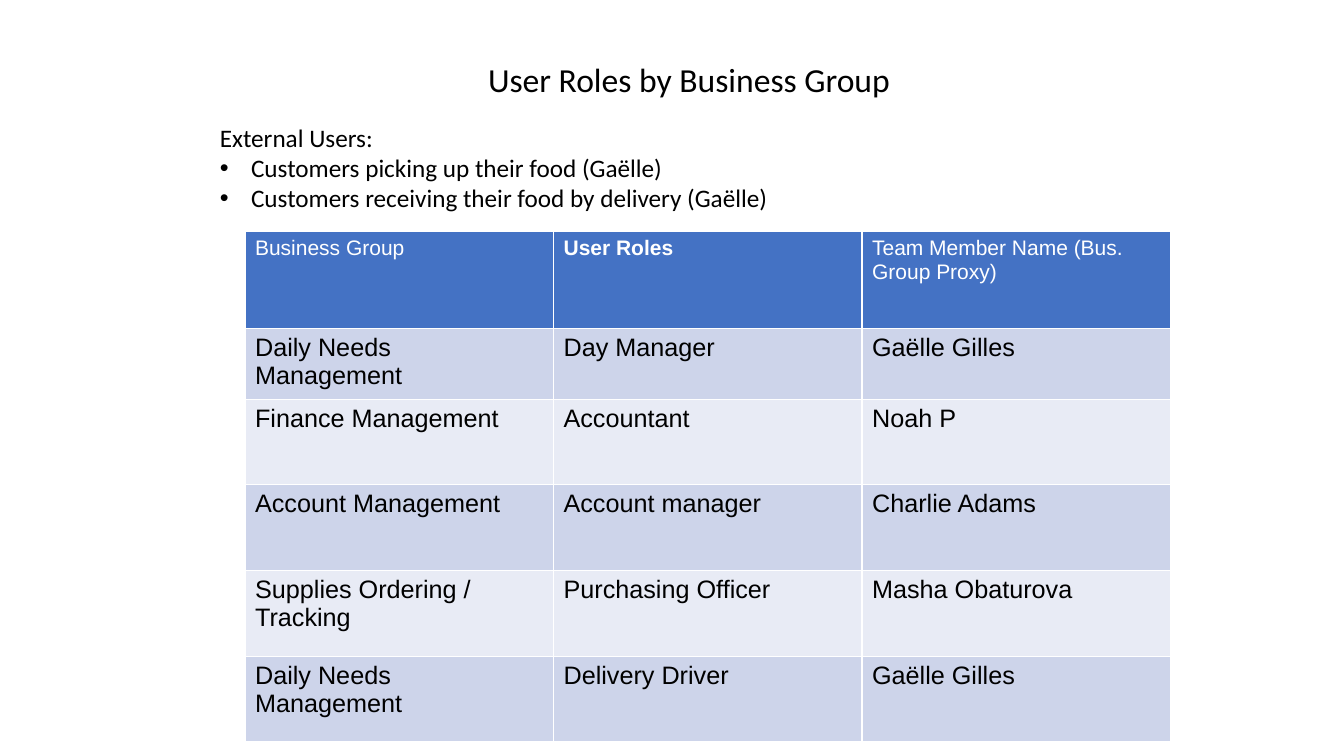
from lxml.etree import SubElement
from pptx import Presentation
from pptx.dml.color import RGBColor
from pptx.enum.text import MSO_ANCHOR as Anchor, MSO_AUTO_SIZE as AutoSize, PP_ALIGN as Align
from pptx.oxml.ns import qn
from pptx.util import Inches, Pt

BLACK = RGBColor(0x00, 0x00, 0x00)
WHITE = RGBColor(0xFF, 0xFF, 0xFF)
HEADER_BLUE = RGBColor(0x44, 0x72, 0xC4)
BAND_DARK = RGBColor(0xCD, 0xD4, 0xEA)
BAND_LIGHT = RGBColor(0xE8, 0xEB, 0xF5)

HEADINGS = ("Business Group", "User Roles", "Team Member Name (Bus. Group Proxy)")
ROLES = [
    ("Daily Needs Management", "Day Manager", "Gaëlle Gilles"),
    ("Finance Management", "Accountant", "Noah P"),
    ("Account Management", "Account manager", "Charlie Adams"),
    ("Supplies Ordering / Tracking", "Purchasing Officer", "Masha Obaturova"),
    ("Daily Needs Management", "Delivery Driver", "Gaëlle Gilles"),
]
EXTERNAL_USERS = [
    "External Users:",
    "Customers picking up their food (Gaëlle)",
    "Customers receiving their food by delivery (Gaëlle)",
]
COLUMN_WIDTH = 3.06
ROW_HEIGHTS = [0.96, 0.7] + [0.85] * 4


def style(para, font_name, size, color, bold=False):
    para.font.name = font_name
    para.font.size = Pt(size)
    para.font.color.rgb = color
    para.font.bold = bold


def place(box, left, top, width, height):
    box.left, box.top = Inches(left), Inches(top)
    box.width, box.height = Inches(width), Inches(height)
    box.text_frame.auto_size = AutoSize.NONE
    box.text_frame.vertical_anchor = Anchor.TOP


deck = Presentation()
deck.slide_width, deck.slide_height = Inches(13.33), Inches(7.5)
page = deck.slides.add_slide(deck.slide_layouts[1])

# Title
title = page.shapes.title
place(title, 4.74, 0.53, 4.23, 0.5)
title.text_frame.word_wrap = False
title.text_frame.text = "User Roles by Business Group"
title_para = title.text_frame.paragraphs[0]
title_para.alignment = Align.LEFT
style(title_para, "Calibri", 24, BLACK)

# Roles table
table = page.shapes.add_table(
    len(ROW_HEIGHTS), len(HEADINGS), Inches(2.43), Inches(2.3),
    Inches(COLUMN_WIDTH * len(HEADINGS)), Inches(sum(ROW_HEIGHTS))).table
for column in table.columns:
    column.width = Inches(COLUMN_WIDTH)
for row_index, texts in enumerate([HEADINGS] + ROLES):
    table.rows[row_index].height = Inches(ROW_HEIGHTS[row_index])
    is_header = row_index == 0
    band = HEADER_BLUE if is_header else BAND_DARK if row_index % 2 else BAND_LIGHT
    for column_index, text in enumerate(texts):
        cell = table.cell(row_index, column_index)
        cell.fill.solid()
        cell.fill.fore_color.rgb = band
        cell.text = text
        para = cell.text_frame.paragraphs[0]
        if is_header:
            style(para, "Arial", 15, WHITE, bold=text == "User Roles")
        else:
            style(para, "Arial", 18, BLACK)

# External users list
users = page.placeholders[1]
place(users, 2.08, 1.16, 5.7, 1.31)
users.text_frame.text = "\n".join(EXTERNAL_USERS)
for index, para in enumerate(users.text_frame.paragraphs):
    style(para, "Calibri", 18, BLACK)
    para.space_before = Pt(0)
    properties = para._p.get_or_add_pPr()
    indent = Inches(0.31) if index else 0
    properties.set("marL", str(indent))
    properties.set("indent", str(-indent))
    # Bullet elements belong before the default run properties
    bullet = SubElement(properties, qn("a:buChar" if index else "a:buNone"))
    if index:
        bullet.set("char", "•")
    properties.find(qn("a:defRPr")).addprevious(bullet)

deck.save("out.pptx")
